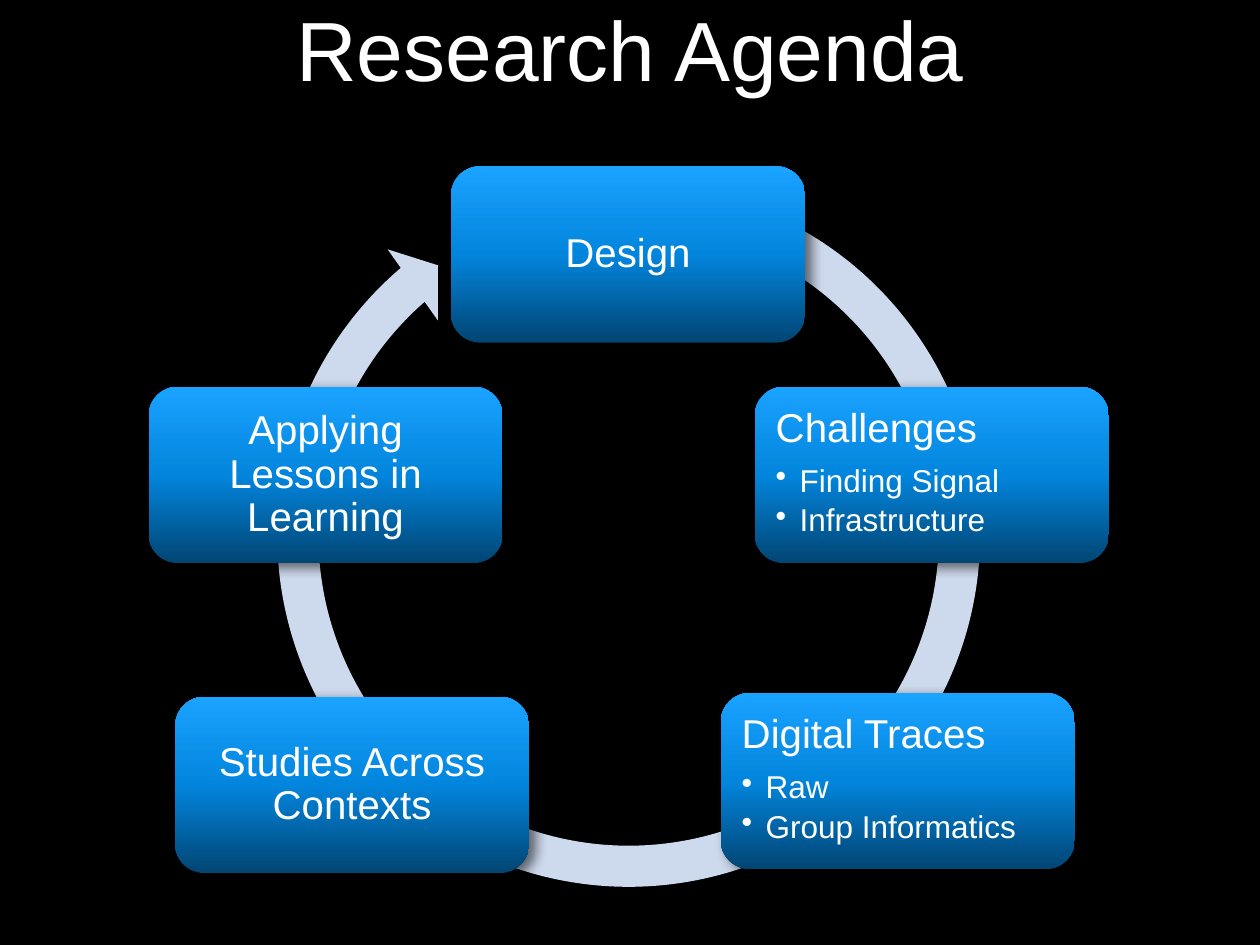
from dataclasses import dataclass

from lxml.etree import SubElement
from pptx import Presentation
from pptx.dml.color import RGBColor
from pptx.enum.shapes import MSO_SHAPE as Shape
from pptx.enum.text import MSO_ANCHOR as Anchor, PP_ALIGN as Align
from pptx.oxml import parse_xml
from pptx.oxml.ns import nsdecls, qn
from pptx.util import Inches, Pt


@dataclass(frozen=True)
class Theme:
    font: str = "Arial"
    background: str = "000000"
    text: str = "FFFFFF"
    ring: str = "CDD9ED"
    gradient: tuple = ((0, "014573"), (50, "0285DD"), (100, "1AA3FF"))
    title_size: int = 48
    heading_size: int = 23
    bullet_size: int = 18


THEME = Theme()
CARD_SIZE = (2.81, 1.4)
RING_BOX = (2.02, 1.28, 5.94, 5.94)
RING_ADJUSTMENTS = (0.055, 3.307, 137.545, 173.99, 0.058)
CARDS = (
    (3.58, 1.32, "Design", ()),
    (5.99, 3.07, "Challenges", ("Finding Signal", "Infrastructure")),
    (5.72, 5.5, "Digital Traces", ("Raw", "Group Informatics")),
    (1.39, 5.53, "Studies Across Contexts", ()),
    (1.18, 3.07, "Applying Lessons in Learning", ()),
)


def set_values(target, values):
    for name, value in values.items():
        setattr(target, name, value)


def format_frame(frame, anchor):
    set_values(frame, {"word_wrap": True, "vertical_anchor": anchor})
    for side in ("left", "right", "top", "bottom"):
        setattr(frame, f"margin_{side}", Inches(0.1))


def write_paragraph(paragraph, text, size, **values):
    paragraph.text = text
    set_values(paragraph, values)
    set_values(paragraph.font, {"name": THEME.font, "size": Pt(size)})
    paragraph.font.color.rgb = RGBColor.from_string(THEME.text)


def add_bullet(paragraph):
    properties = paragraph._p.get_or_add_pPr()
    properties.set("marL", str(Inches(0.19)))
    properties.set("indent", str(Inches(-0.19)))
    SubElement(properties, qn("a:buChar"), char="•")


def add_shadow(shape):
    shape.shadow.inherit = False
    effects = shape._element.spPr.find(qn("a:effectLst"))
    effects.append(parse_xml(
        f'<a:outerShdw {nsdecls("a")} blurRad="{Pt(7)}" dist="{Pt(4)}" '
        'dir="2100000" algn="ctr" rotWithShape="0"><a:srgbClr val="000000">'
        '<a:alpha val="55000"/></a:srgbClr></a:outerShdw>'
    ))


def fill_gradient(shape):
    shape.fill.gradient()
    shape.fill.gradient_angle = 90
    stops = shape._element.spPr.find(qn("a:gradFill")).find(qn("a:gsLst"))
    stops.clear()
    for position, color in THEME.gradient:
        stop = SubElement(stops, qn("a:gs"), pos=str(position * 1000))
        SubElement(stop, qn("a:srgbClr"), val=color)


def add_title(slide, text):
    box = slide.shapes.add_textbox(*map(Inches, (0.75, -0.4, 8.5, 1.56)))
    format_frame(box.text_frame, Anchor.MIDDLE)
    write_paragraph(box.text_frame.paragraphs[0], text, THEME.title_size,
                    alignment=Align.CENTER)


def add_ring(slide):
    ring = slide.shapes.add_shape(Shape.CIRCULAR_ARROW, *map(Inches, RING_BOX))
    for index, value in enumerate(RING_ADJUSTMENTS):
        ring.adjustments[index] = value
    ring.fill.solid()
    ring.fill.fore_color.rgb = RGBColor.from_string(THEME.ring)
    ring.line.fill.background()
    add_shadow(ring)


def add_card(slide, left, top, heading, bullets):
    card = slide.shapes.add_shape(
        Shape.ROUNDED_RECTANGLE, *map(Inches, (left, top, *CARD_SIZE)))
    fill_gradient(card)
    card.line.fill.background()
    add_shadow(card)
    frame = card.text_frame
    format_frame(frame, Anchor.TOP if bullets else Anchor.MIDDLE)
    write_paragraph(frame.paragraphs[0], heading, THEME.heading_size,
                    alignment=Align.LEFT if bullets else Align.CENTER,
                    line_spacing=0.9, space_after=Pt(8))
    for text in bullets:
        paragraph = frame.add_paragraph()
        add_bullet(paragraph)
        write_paragraph(paragraph, text, THEME.bullet_size, level=1,
                        alignment=Align.LEFT, line_spacing=0.9,
                        space_after=Pt(3))


def main():
    presentation = Presentation()
    set_values(presentation,
               {"slide_width": Inches(10), "slide_height": Inches(7.5)})
    slide = presentation.slides.add_slide(presentation.slide_layouts[6])
    slide.background.fill.solid()
    slide.background.fill.fore_color.rgb = RGBColor.from_string(
        THEME.background)
    add_title(slide, "Research Agenda")
    add_ring(slide)
    for card in CARDS:
        add_card(slide, *card)
    presentation.save("out.pptx")


if __name__ == "__main__":
    main()
